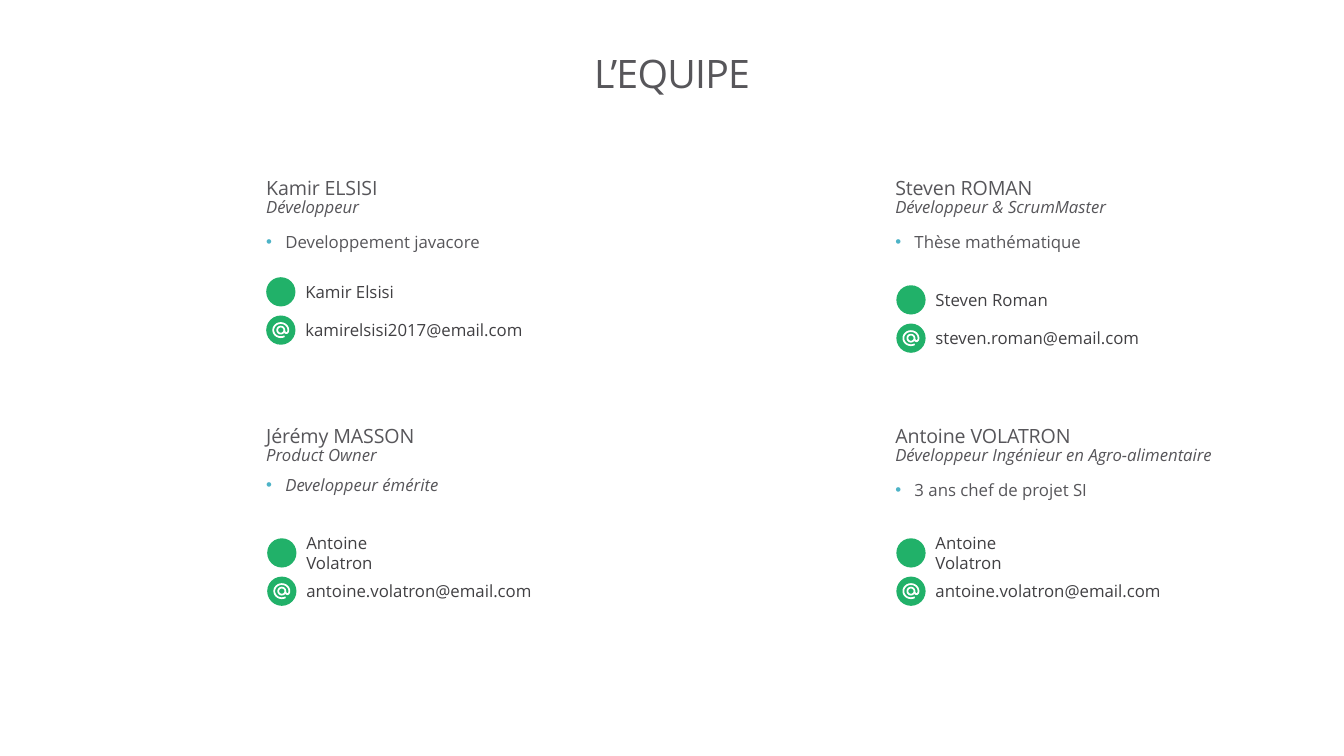
from math import cos, radians, sin

from lxml import etree
from pptx import Presentation
from pptx.dml.color import RGBColor
from pptx.enum import shapes, text
from pptx.oxml.ns import qn
from pptx.util import Inches, Pt

FONT = "Open Sans"
GREY = RGBColor(0x57, 0x56, 0x5A)
DARK = RGBColor(0x41, 0x40, 0x43)
GREEN = RGBColor(0x21, 0xB1, 0x69)
WHITE = RGBColor(0xFF, 0xFF, 0xFF)
BULLET_BLUE = "4DB3C7"

ICON = 0.29
CONTACT_STEP = 0.38

# Column, row, name, role, skill, skill level, skill italic, icon corner, contact, e-mail
COLUMNS = (2.64, 8.88)
ROWS = (1.79, 4.25)
TEAM = [
    (0, 0, "Kamir ELSISI", "Développeur", "Developpement javacore", 2, False,
     (2.64, 2.75), "Kamir Elsisi", "kamirelsisi2017@email.com"),
    (1, 0, "Steven ROMAN", "Développeur & ScrumMaster", "Thèse mathématique", 2, False,
     (8.89, 2.83), "Steven Roman", "steven.roman@email.com"),
    (0, 1, "Jérémy MASSON", "Product Owner", "Developpeur émérite", 1, True,
     (2.65, 5.34), "Antoine Volatron", "antoine.volatron@email.com"),
    (1, 1, "Antoine VOLATRON", "Développeur Ingénieur en Agro-alimentaire",
     "3 ans chef de projet SI", 2, False,
     (8.89, 5.34), "Antoine Volatron", "antoine.volatron@email.com"),
]

# One pen stroke for the at sign: outer ring, hook, then inner bowl
# (centre x, radius x, radius y, first angle, last angle)
AT_ARCS = [
    (0, 0.075, 0.07, 60, 360),
    (0.055, 0.02, 0.03, 0, 180),
    (0, 0.035, 0.035, 0, 360),
]


def style(para, size, color, italic=False, spacing=0):
    font = para.font
    font.name, font.size, font.color.rgb = FONT, Pt(size), color
    font.bold, font.italic = False, italic
    if spacing:
        for span in para.runs:
            span._r.get_or_add_rPr().set("spc", str(spacing))


def place(shape, left, top, width, height, anchor):
    shape.left, shape.top = Inches(left), Inches(top)
    shape.width, shape.height = Inches(width), Inches(height)
    frame = shape.text_frame
    frame.margin_left = frame.margin_right = frame.margin_top = frame.margin_bottom = 0
    frame.vertical_anchor = anchor
    frame.auto_size = text.MSO_AUTO_SIZE.NONE
    frame.word_wrap = True
    return frame


deck = Presentation()
deck.slide_width, deck.slide_height = Inches(13.33), Inches(7.5)
page = deck.slides.add_slide(deck.slide_layouts.get_by_name("Comparison"))

# Title
frame = place(page.shapes.title, 1, 0.31, 11.33, 0.89, text.MSO_ANCHOR.MIDDLE)
frame.text = "L’EQUIPE"
para = frame.paragraphs[0]
para.alignment = text.PP_ALIGN.CENTER
para.line_spacing = 0.86
style(para, 28, GREY, spacing=-50)

profiles = [page.placeholders[index] for index in (1, 2, 3, 4)]
for profile, member in zip(profiles, TEAM):
    column, row, name, role, skill, level, slanted, corner, contact, email = member

    # Name, role and skill
    frame = place(profile, COLUMNS[column], ROWS[row], 3.89, 2.12, text.MSO_ANCHOR.TOP)
    frame.text = "\n".join((name, role, skill))
    name_para, role_para, skill_para = frame.paragraphs
    for para in (name_para, role_para, skill_para):
        is_skill = para is skill_para
        props = para._p.get_or_add_pPr()
        props.set("marL", str(Inches(0.19) if is_skill else 0))
        props.set("indent", str(Inches(-0.19) if is_skill else 0))
        para.space_before = para.space_after = Pt(0)
        if is_skill:
            color = etree.SubElement(props, qn("a:buClr"))
            etree.SubElement(color, qn("a:srgbClr"), val=BULLET_BLUE)
            etree.SubElement(props, qn("a:buFont"), typeface="Arial")
            etree.SubElement(props, qn("a:buChar"), char="•")
        else:
            etree.SubElement(props, qn("a:buNone"))
    name_para.line_spacing = 0.8
    role_para.level, skill_para.level = 1, level
    role_para.line_spacing = 0.9
    role_para.space_after = Pt(8)
    if level == 1:
        skill_para.line_spacing = 0.9
    else:
        skill_para.space_before = Pt(2.4)
    style(name_para, 14, GREY, spacing=-10)
    style(role_para, 12, GREY, italic=True)
    style(skill_para, 12, GREY, italic=slanted)

    # Contact lines: green disc and label
    left, top = corner
    for line, (label, width) in enumerate(((contact, 1.47), (email, 2.45))):
        y = top + line * CONTACT_STEP
        disc = page.shapes.add_shape(shapes.MSO_SHAPE.OVAL, Inches(left), Inches(y),
                                     Inches(ICON), Inches(ICON))
        disc.shadow.inherit = False
        disc.fill.solid()
        disc.fill.fore_color.rgb = GREEN
        disc.line.fill.background()

        box = page.shapes.add_textbox(Inches(left + ICON), Inches(y - 0.02),
                                      Inches(width), Inches(0.33))
        box.text_frame.word_wrap = True
        box.text_frame.vertical_anchor = text.MSO_ANCHOR.MIDDLE
        box.text_frame.text = label
        style(box.text_frame.paragraphs[0], 12, DARK)

    # At sign on the e-mail disc
    center_x, center_y = left + ICON / 2, top + CONTACT_STEP + ICON / 2
    points = [
        (Inches(center_x + shift + rx * cos(radians(angle))),
         Inches(center_y + ry * sin(radians(angle))))
        for shift, rx, ry, first, last in AT_ARCS
        for angle in range(first, last + 1, 15)
    ]
    pen = page.shapes.build_freeform(*points[0])
    pen.add_line_segments(points[1:], close=False)
    at_sign = pen.convert_to_shape()
    at_sign.shadow.inherit = False
    at_sign.fill.background()
    at_sign.line.color.rgb = WHITE
    at_sign.line.width = Pt(1.25)

deck.save("out.pptx")
